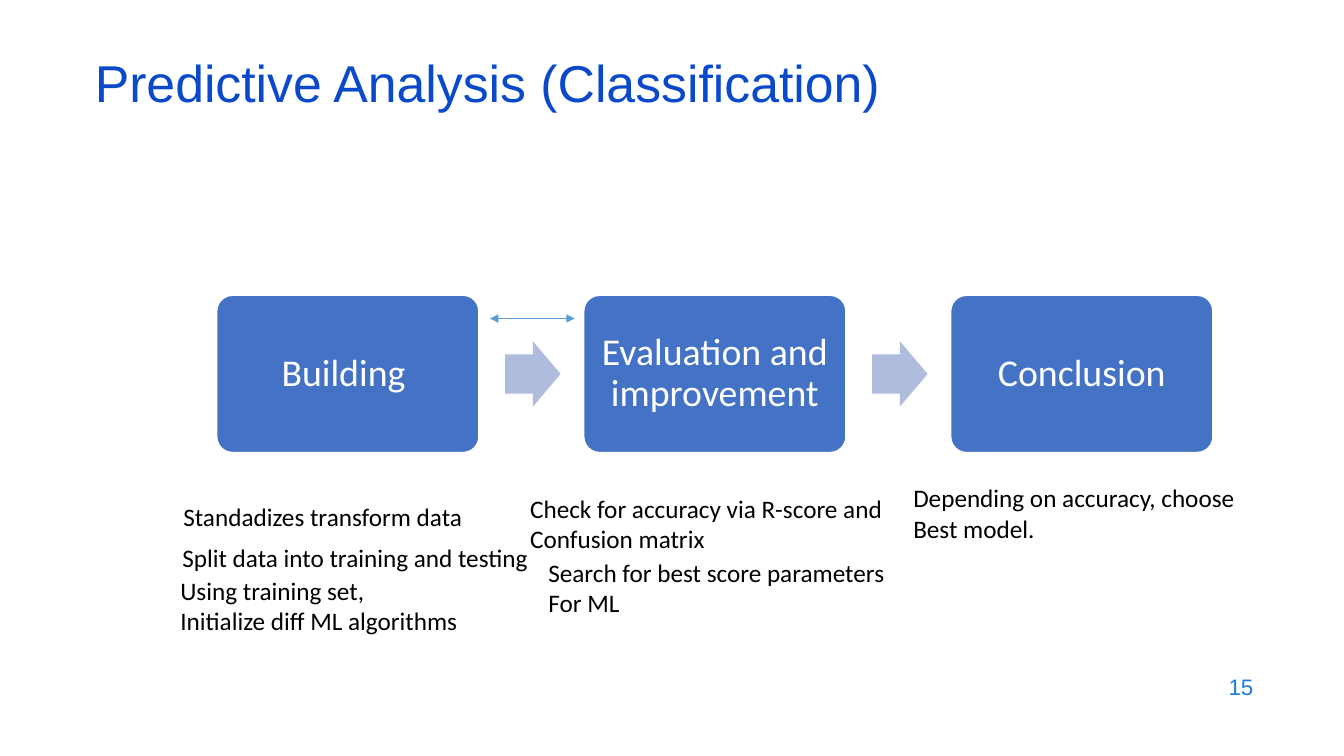
import pptx
import pptx.util
import pptx.dml.color
import pptx.enum.shapes
import pptx.enum.text
import pptx.oxml
import pptx.oxml.ns

Inches = pptx.util.Inches
Pt = pptx.util.Pt
Shape = pptx.enum.shapes.MSO_SHAPE
Align = pptx.enum.text.PP_ALIGN
Anchor = pptx.enum.text.MSO_ANCHOR

# Content
TITLE = "Predictive Analysis (Classification)"
PAGE = "15"
STEPS = ["Building ", "Evaluation and improvement", "Conclusion"]
NOTES = [  # left, top, width, lines
    (1.72, 4.92, 3, ["Standadizes transform data"]),
    (1.71, 5.33, 3.67, ["Split data into training and testing"]),
    (1.69, 5.66, 2.99, ["Using training set,", "Initialize diff ML algorithms"]),
    (5.16, 4.84, 3.73, ["Check for accuracy via R-score and", "Confusion matrix"]),
    (5.34, 5.48, 3.57, ["Search for best score parameters", "For ML"]),
    (8.96, 4.74, 3.43, ["Depending on accuracy, choose", "Best model."]),
]

# Layout of the process row
STEP_LEFT, STEP_TOP, STEP_W, STEP_H, STEP_PITCH = 2.15, 2.93, 2.6, 1.56, 3.64
ARROW_W, ARROW_H, ARROW_OFFSET = 0.55, 0.65, 2.86


def color(hex_code):
    return pptx.dml.color.RGBColor.from_string(hex_code)


def write(frame, lines, size, font, hex_code, align=Align.LEFT, spacing=None):
    frame.text = "\n".join(lines)
    for paragraph in frame.paragraphs:
        paragraph.alignment = align
        if spacing:
            paragraph.line_spacing = spacing
        for run in paragraph.runs:
            run.font.size = Pt(size)
            run.font.name = font
            run.font.color.rgb = color(hex_code)


def add_block(slide, kind, left, top, width, height, fill):
    block = slide.shapes.add_shape(
        kind, Inches(left), Inches(top), Inches(width), Inches(height))
    block.shadow.inherit = False
    block.fill.solid()
    block.fill.fore_color.rgb = color(fill)
    block.line.fill.background()
    return block


def add_step(slide, label, left):
    step = add_block(slide, Shape.ROUNDED_RECTANGLE, left, STEP_TOP, STEP_W, STEP_H, "4472C4")
    step.adjustments[0] = 0.1
    step.line.color.rgb = color("FFFFFF")
    step.line.width = Pt(1)
    frame = step.text_frame
    frame.word_wrap = True
    frame.vertical_anchor = Anchor.MIDDLE
    frame.margin_left = frame.margin_right = Inches(0.11)
    write(frame, [label], 27, "Calibri", "FFFFFF", Align.CENTER, 0.9)


def add_arrow(slide, left):
    top = STEP_TOP + (STEP_H - ARROW_H) / 2
    arrow = add_block(slide, Shape.RIGHT_ARROW, left, top, ARROW_W, ARROW_H, "B0BCDE")
    arrow.adjustments[0] = 0.6
    arrow.adjustments[1] = 0.5


def add_feedback_line(slide):
    feedback = slide.shapes.add_connector(
        pptx.enum.shapes.MSO_CONNECTOR.STRAIGHT,
        Inches(4.86), Inches(3.16), Inches(5.7), Inches(3.16))
    feedback.line.color.rgb = color("5B9BD5")
    feedback.line.width = Pt(0.5)
    outline = feedback.line._get_or_add_ln()
    for end in ("headEnd", "tailEnd"):
        outline.append(pptx.oxml.parse_xml(
            f'<a:{end} {pptx.oxml.ns.nsdecls("a")} type="triangle"/>'))
    feedback._element.spPr.append(pptx.oxml.parse_xml(
        f'<a:effectLst {pptx.oxml.ns.nsdecls("a")}/>'))


def main():
    deck = pptx.Presentation()
    deck.slide_width, deck.slide_height = Inches(13.33), Inches(7.5)
    slide = deck.slides.add_slide(deck.slide_layouts[5])

    # Title
    title = slide.shapes.title
    title.left, title.top = Inches(0.84), Inches(0.59)
    title.width, title.height = Inches(11.5), Inches(0.6)
    title.text_frame.vertical_anchor = Anchor.MIDDLE
    write(title.text_frame, [TITLE], 37, "Arial", "0B49CB", spacing=0.7)

    # Page number
    page = slide.shapes.add_textbox(Inches(9.53), Inches(6.59), Inches(3), Inches(0.44))
    page.text_frame.word_wrap = True
    page.text_frame.vertical_anchor = Anchor.MIDDLE
    write(page.text_frame, [PAGE], 16, "Arial", "1C7DDB", Align.RIGHT)

    # Process steps with an arrow between neighbours
    for index, label in enumerate(STEPS):
        left = STEP_LEFT + index * STEP_PITCH
        add_step(slide, label, left)
        if index < len(STEPS) - 1:
            add_arrow(slide, left + ARROW_OFFSET)

    # Notes under the steps
    for left, top, width, lines in NOTES:
        height = 0.1 + 0.3 * len(lines)
        note = slide.shapes.add_textbox(
            Inches(left), Inches(top), Inches(width), Inches(height))
        note.text_frame.word_wrap = False
        note.text_frame.auto_size = pptx.enum.text.MSO_AUTO_SIZE.SHAPE_TO_FIT_TEXT
        write(note.text_frame, lines, 18, "Calibri", "000000")

    add_feedback_line(slide)
    deck.save("out.pptx")


if __name__ == "__main__":
    main()
